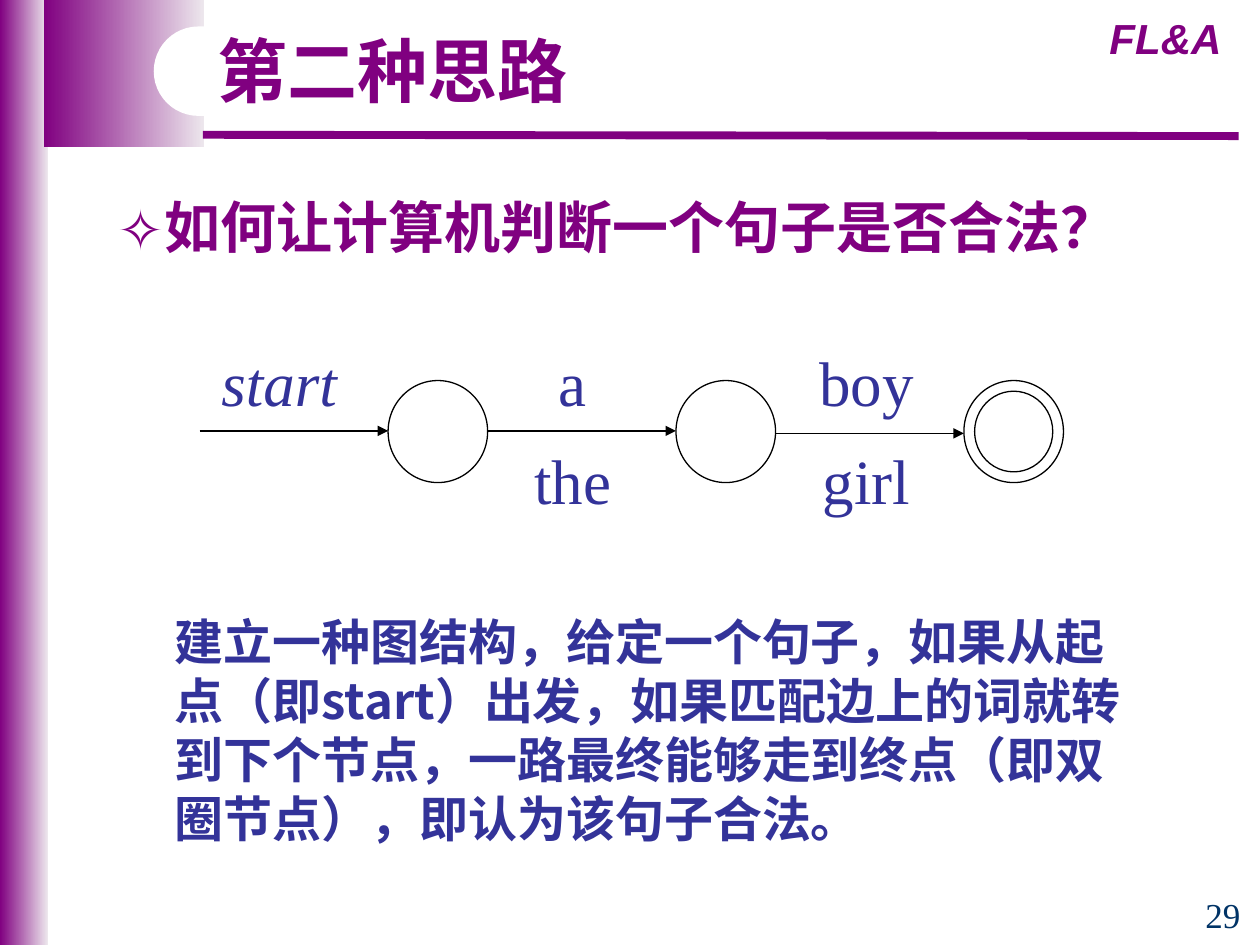
from collections import namedtuple

from lxml.etree import SubElement
from pptx import Presentation
from pptx.dml.color import RGBColor
from pptx.enum.shapes import MSO_CONNECTOR, MSO_SHAPE
from pptx.enum.text import MSO_ANCHOR, MSO_AUTO_SIZE, PP_ALIGN
from pptx.oxml.ns import qn
from pptx.util import Inches, Pt

COLORS = {
    "purple": "800080",
    "pale": "EDE7ED",
    "white": "FFFFFF",
    "black": "000000",
    "indigo": "333399",
    "navy": "003366",
}
CJK, SERIF, SANS = "Noto Sans CJK SC", "Times New Roman", "Arial"

# The slide is a grid of 100 columns by 75 rows of square cells.
COLUMNS, ROWS, CELL = 100, 75, Inches(0.1)
Box = namedtuple("Box", "left top width height")


def color(name):
    return RGBColor.from_string(COLORS[name])


def cells(*counts):
    return [round(count * CELL) for count in counts]


def place(shape, box):
    shape.left, shape.top, shape.width, shape.height = cells(*box)


def write(shape, text, font, size, tint, bold=False, italic=False,
          align=PP_ALIGN.LEFT, spacing=None, anchor=MSO_ANCHOR.MIDDLE, bullet=None):
    frame = shape.text_frame
    frame.word_wrap = True
    frame.auto_size = MSO_AUTO_SIZE.NONE
    frame.vertical_anchor = anchor
    frame.text = text
    paragraph = frame.paragraphs[0]
    paragraph.alignment = align
    paragraph.space_before = Pt(0)
    paragraph.line_spacing = spacing
    if bullet:
        add_bullet(paragraph, bullet, tint, hang=Inches(0.37))
    run = paragraph.runs[0]
    run.font.size, run.font.bold, run.font.italic = Pt(size), bold, italic
    run.font.color.rgb = color(tint)
    run.font.name = font
    SubElement(run.font._element, qn("a:ea"), typeface=font)


def add_bullet(paragraph, mark, tint, hang):
    properties = paragraph._p.get_or_add_pPr()
    properties.set("marL", str(hang))
    properties.set("indent", str(-hang))
    bullet_color = SubElement(properties, qn("a:buClr"))
    SubElement(bullet_color, qn("a:srgbClr"), val=COLORS[tint])
    SubElement(properties, qn("a:buFont"), typeface=CJK)
    SubElement(properties, qn("a:buChar"), char=mark)


def add_text(slide, box, text, **text_format):
    write(slide.shapes.add_textbox(*cells(*box)), text, **text_format)


def fill_placeholder(slide, placeholder, box, text, **text_format):
    """Format a placeholder and bring it in front of the shapes drawn so far."""
    place(placeholder, box)
    write(placeholder, text, **text_format)
    slide.shapes._spTree.append(placeholder._element)


def add_outline(slide, kind, box, line=None):
    shape = slide.shapes.add_shape(kind, *cells(*box))
    shape.shadow.inherit = False
    shape.fill.solid()
    shape.fill.fore_color.rgb = color("white")
    if line:
        shape.line.color.rgb = color(line)
        shape.line.width = Pt(0.75)
    else:
        shape.line.fill.background()
    return shape


def add_fading_band(slide, box):
    band = add_outline(slide, MSO_SHAPE.RECTANGLE, box)
    band.fill.gradient()
    band.fill.gradient_angle = 0
    for stop, tint in zip(band.fill.gradient_stops, ("purple", "pale")):
        stop.color.rgb = color(tint)


def add_line(slide, start, end, tint, width, arrow=False):
    line = slide.shapes.add_connector(MSO_CONNECTOR.STRAIGHT, *cells(*start, *end))
    line.line.color.rgb = color(tint)
    line.line.width = Pt(width)
    if arrow:
        SubElement(line.line._get_or_add_ln(), qn("a:tailEnd"), type="triangle")
    SubElement(line._element.spPr, qn("a:effectLst"))


def add_header(slide, box):
    add_fading_band(slide, Box(box.left, box.top, 3.8, ROWS))
    add_fading_band(slide, Box(box.left + 3.5, box.top, 12.7, box.height))
    rule_top = box.top + box.height - 1
    add_line(slide, (box.left + 16.1, rule_top),
             (box.left + box.width, rule_top + 0.1), "purple", 4.5)
    add_text(slide, Box(box.left + box.width - 12.1, box.top + 0.5, 12.6, 5), "FL&A",
             font=SANS, size=24, tint="purple", bold=True, italic=True,
             align=PP_ALIGN.CENTER)
    notch = add_outline(slide, MSO_SHAPE.ROUNDED_RECTANGLE,
                        Box(box.left + 12.2, box.top + 2.1, 36.2, 7.1))
    notch.adjustments[0] = 0.5
    fill_placeholder(slide, slide.shapes.title,
                     Box(box.left + 16.3, box.top + 2.1, 42.4, 7.2), "第二种思路",
                     font=CJK, size=40, tint="purple", bold=True, spacing=Pt(45))


def add_question(slide, box):
    fill_placeholder(slide, slide.placeholders[1], box,
                     "如何让计算机判断一个句子是否合法？", font=CJK, size=32,
                     tint="purple", bold=True, spacing=Pt(39), bullet="✧")


def add_automaton(slide, box):
    """Draw a row of states, each entered by an arrow with words above and below."""
    edges = [("start", None), ("a", "the"), ("boy", "girl")]
    state_width, state_height, arrow_length, ring = 7.9, 8.1, 14.95, 0.85
    state_top = box.top + 2.8
    for index, words in enumerate(edges):
        last = index == len(edges) - 1
        state_left = box.left + 16.9 + index * (state_width + arrow_length)
        add_outline(slide, MSO_SHAPE.OVAL,
                    Box(state_left, state_top, state_width, state_height), "black")
        if last:
            add_outline(slide, MSO_SHAPE.OVAL,
                        Box(state_left + ring, state_top + ring,
                            state_width - 2 * ring, state_height - 2 * ring), "black")
        arrow_top = state_top + (4.2 if last else 4)
        add_line(slide, (state_left - arrow_length, arrow_top),
                 (state_left, arrow_top), "black", 0.75, arrow=True)
        for row, word in enumerate(words):
            if word:
                add_text(slide, Box(box.left + index * 23.3, box.top + row * 7.8, 16.5, 6.5),
                         word, font=SERIF, size=36, tint="indigo", italic=index == 0,
                         align=PP_ALIGN.CENTER, spacing=0.9)


def add_explanation(slide, box):
    add_text(slide, box,
             "建立一种图结构，给定一个句子，如果从起点（即start）出发，"
             "如果匹配边上的词就转到下个节点，一路最终能够走到终点"
             "（即双圈节点），即认为该句子合法。",
             font=CJK, size=28, tint="indigo", bold=True, spacing=Pt(33.7),
             anchor=MSO_ANCHOR.TOP)


def add_page_number(slide, box):
    add_text(slide, box, "29", font=SERIF, size=20, tint="navy",
             align=PP_ALIGN.CENTER, spacing=0.9)


def main():
    deck = Presentation()
    deck.slide_width, deck.slide_height = cells(COLUMNS, ROWS)
    slide = deck.slides.add_slide(deck.slide_layouts[1])
    add_header(slide, Box(0, 0, 98.3, 11.7))
    add_question(slide, Box(8.3, 14.7, 86.7, 6.4))
    add_automaton(slide, Box(13.9, 27.4, 70.5, 14.3))
    add_explanation(slide, Box(12.9, 48, 77.4, 19.8))
    add_page_number(slide, Box(94.1, 70.8, 5.9, 4))
    deck.save("out.pptx")


if __name__ == "__main__":
    main()
